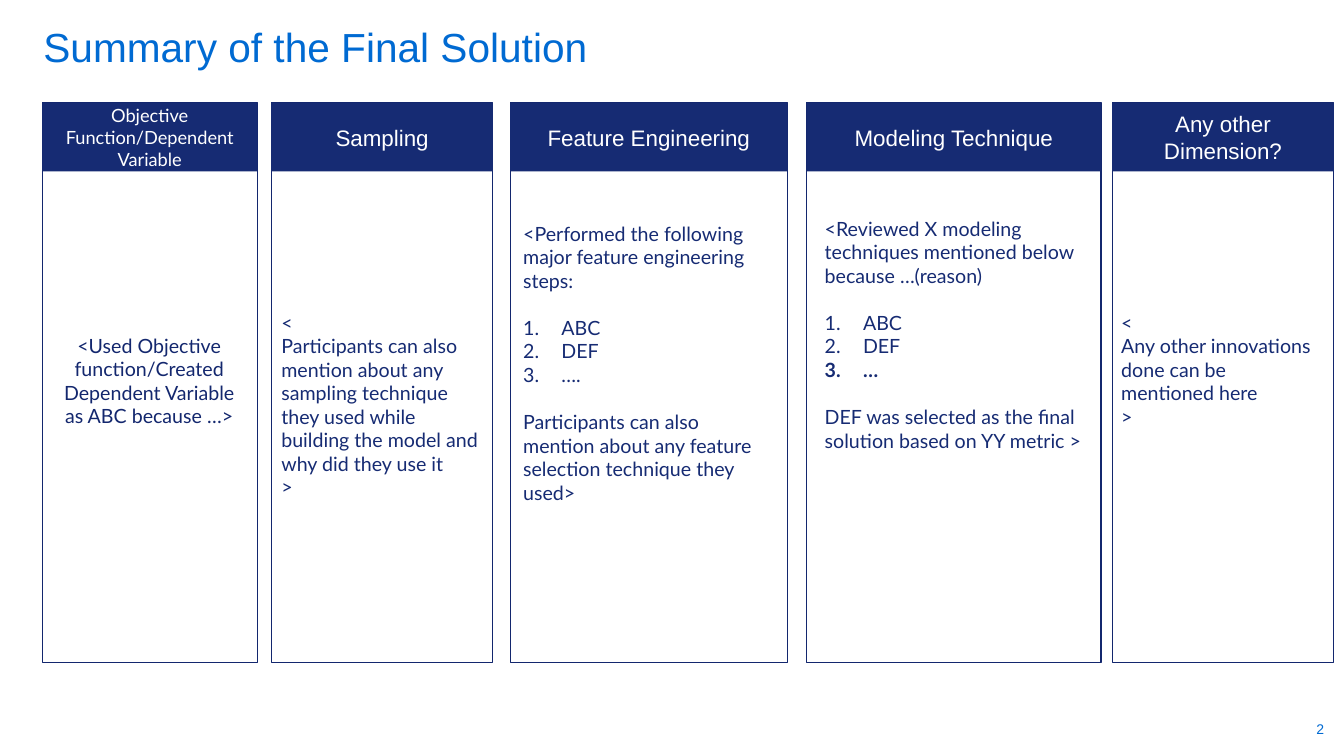
from pptx import Presentation
from pptx.dml.color import RGBColor
from pptx.enum import shapes, text
from pptx.oxml.ns import qn
from pptx.util import Inches, Pt

BLUE, NAVY, DARK, WHITE = "006AD2", "162B73", "13276E", "FFFFFF"
TOP, HEADER_H, PANEL_H = 1.02, 0.68, 5.55
ALIGN = text.PP_ALIGN
ANCHOR = text.MSO_ANCHOR
BODY = {"size": Pt(14), "name": "Lato"}
LINE_GAP = Pt(16.8)


def rgb(value):
    return RGBColor.from_string(value)


def set_attrs(obj, values):
    for name, value in values.items():
        setattr(obj, name, value)


def set_frame(tf, anchor, inset=None):
    set_attrs(tf, {"word_wrap": True, "vertical_anchor": anchor,
                   "auto_size": text.MSO_AUTO_SIZE.NONE})
    if inset is not None:
        for side in ("left", "right", "top", "bottom"):
            setattr(tf, "margin_" + side, Inches(inset))


def write(p, words, color, font, **para):
    r = p.add_run()
    r.text = words
    set_attrs(r.font, font)
    r.font.color.rgb = rgb(color)
    set_attrs(p, para)


def number(p):
    pPr = p._p.get_or_add_pPr()
    pPr.set("marL", str(Inches(0.38)))
    pPr.set("indent", str(-Inches(0.38)))
    bullet = pPr.makeelement(qn("a:buAutoNum"), {"type": "arabicPeriod"})
    pPr.append(bullet)


def add_rect(parent, x, w, h, fill=None, line=None):
    sp = parent.shapes.add_shape(shapes.MSO_SHAPE.RECTANGLE, Inches(x),
                                 Inches(TOP), Inches(w), Inches(h))
    sp.shadow.inherit = False
    if fill:
        sp.fill.solid()
        sp.fill.fore_color.rgb = rgb(fill)
    else:
        sp.fill.background()
    if line:
        sp.line.color.rgb = rgb(line)
        sp.line.width = Pt(0.75)
    else:
        sp.line.fill.background()
    return sp


def add_text(parent, box, anchor, inset=None):
    sp = parent.shapes.add_textbox(*[Inches(v) for v in box])
    set_frame(sp.text_frame, anchor, inset)
    return sp.text_frame


def add_column(slide, x, w, title, title_font, box, paragraphs,
               color=NAVY, align=ALIGN.LEFT, inset=0):
    """Paragraphs are (words, kind); kinds: text, first, item, bold, after."""
    group = slide.shapes.add_group_shape()
    add_rect(group, x, w, PANEL_H, line=DARK)
    header = add_rect(group, x, w, HEADER_H, fill=NAVY).text_frame
    set_frame(header, ANCHOR.MIDDLE)
    write(header.paragraphs[0], title, WHITE, title_font,
          alignment=ALIGN.CENTER)

    tf = add_text(group, box, ANCHOR.TOP, inset)
    for i, (words, kind) in enumerate(paragraphs):
        p = tf.add_paragraph() if i else tf.paragraphs[0]
        write(p, words, color, {**BODY, "bold": kind == "bold"},
              alignment=align)
        if kind in ("first", "after"):
            p.space_before = LINE_GAP
        if kind in ("first", "item", "bold"):
            number(p)


def add_title(slide, words):
    sp = slide.shapes.title
    set_attrs(sp, {"left": Inches(0.43), "top": Inches(0.29),
                   "width": Inches(12), "height": Inches(0.41)})
    set_frame(sp.text_frame, ANCHOR.BOTTOM, 0)
    write(sp.text_frame.paragraphs[0], words, BLUE,
          {"size": Pt(29), "name": "Arial"},
          alignment=ALIGN.LEFT, line_spacing=0.82)


def main():
    prs = Presentation()
    prs.slide_width, prs.slide_height = Inches(13.33), Inches(7.5)
    slide = prs.slides.add_slide(prs.slide_layouts[5])
    add_title(slide, "Summary of the Final Solution")

    # Columns
    head = {"size": Pt(16), "name": "Arial"}
    add_column(slide, 0.42, 2.13, "Objective Function/Dependent Variable",
               {"size": Pt(13), "name": "Lato"}, (0.52, 3.31, 1.92, 0.94),
               [("<Used Objective function/Created Dependent Variable as "
                 "ABC because …>", "text")],
               color=DARK, align=ALIGN.CENTER)
    add_column(slide, 2.69, 2.2, "Sampling", head, (2.79, 3.08, 1.99, 2.12),
               [("<", "text"),
                ("Participants can also mention about any sampling technique "
                 "they used while building the model and why did they use it",
                 "text"),
                (">", "text")])
    add_column(slide, 5.06, 2.75, "Feature Engineering", head,
               (5.09, 2.15, 2.52, 3.03),
               [("<Performed the following major feature engineering steps:",
                 "text"),
                ("ABC", "first"), ("DEF", "item"), ("….", "item"),
                ("Participants can also mention about any feature selection "
                 "technique they used>", "after")],
               inset=None)
    add_column(slide, 8, 2.92, "Modeling Technique", head,
               (8.18, 2.15, 2.64, 2.68),
               [("<Reviewed X modeling techniques mentioned below because "
                 "…(reason)", "text"),
                ("ABC", "first"), ("DEF", "item"), ("…", "bold"),
                ("DEF was selected as the final solution based on YY metric >",
                 "after")])
    add_column(slide, 11.03, 2.2, "Any other Dimension?", head,
               (11.12, 3.08, 1.99, 1.18),
               [("<", "text"),
                ("Any other innovations done can be mentioned here", "text"),
                (">", "text")])

    # Page number
    tf = add_text(slide, (12.08, 7.07, 1.15, 0.33), ANCHOR.MIDDLE)
    write(tf.paragraphs[0], "2", BLUE, {"size": Pt(10), "name": "Arial"},
          alignment=ALIGN.RIGHT)

    prs.save("out.pptx")


if __name__ == "__main__":
    main()
